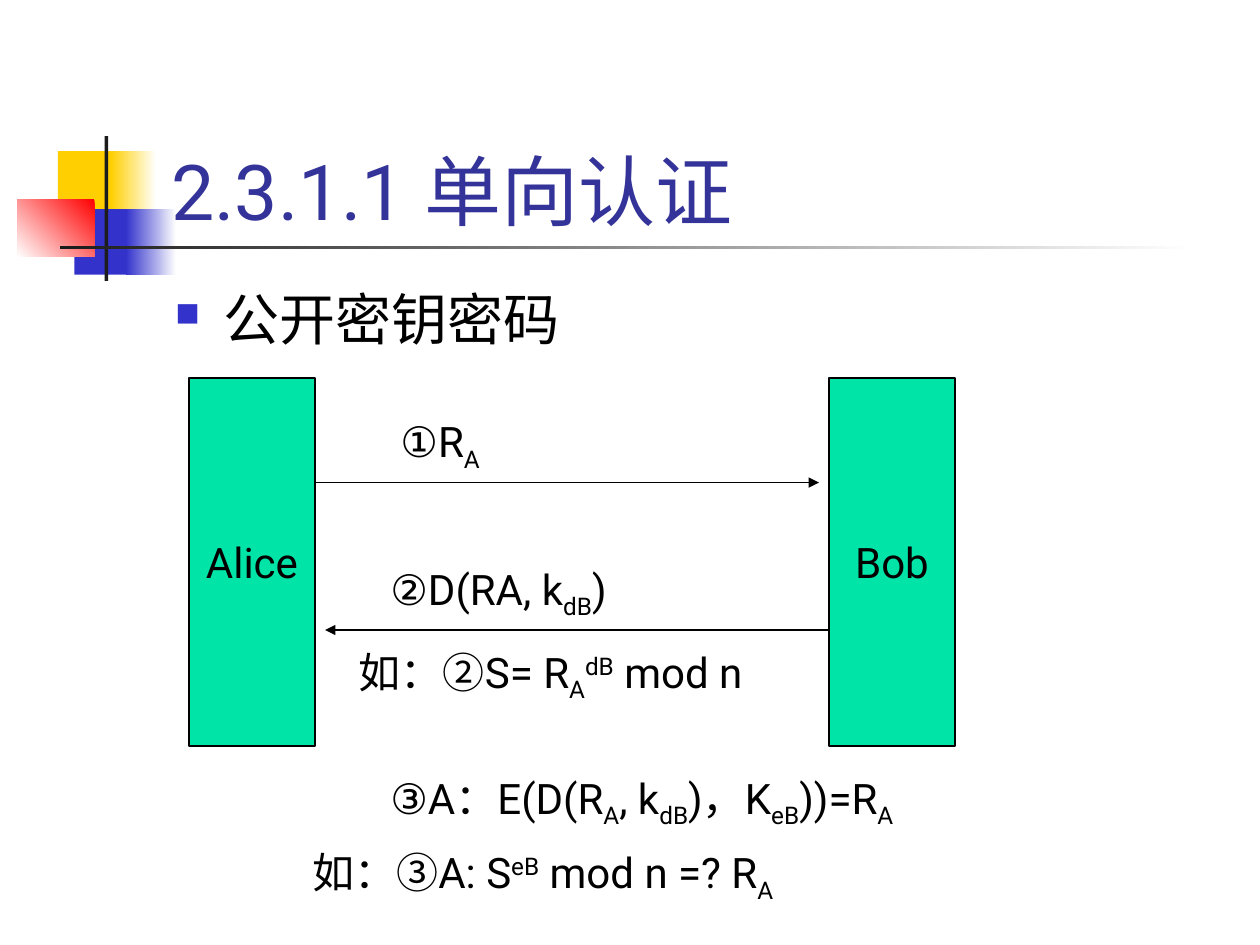
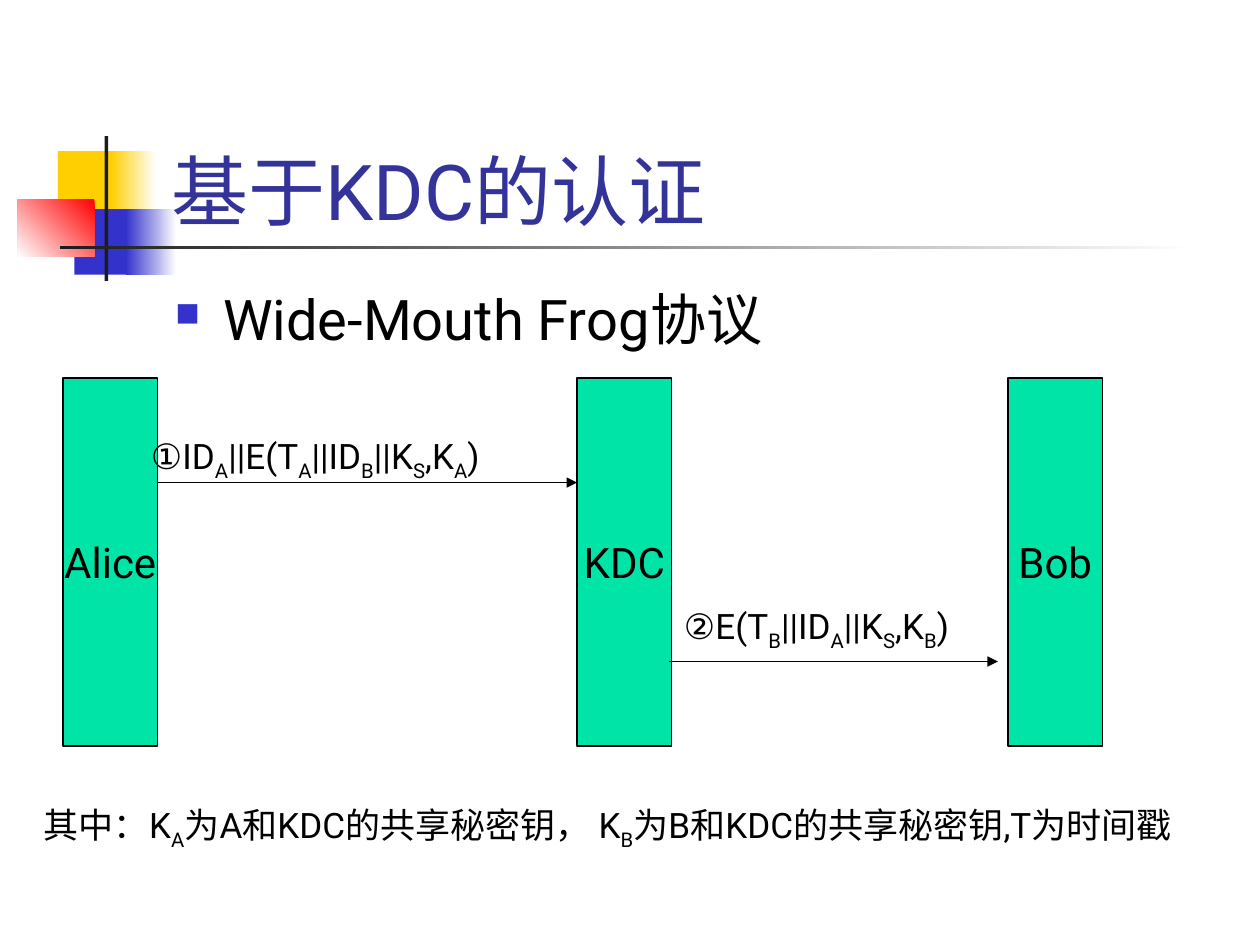
from lxml.etree import SubElement
from pptx import Presentation
from pptx.dml.color import RGBColor
from pptx.enum.shapes import MSO_CONNECTOR, MSO_SHAPE
from pptx.enum.text import MSO_ANCHOR, MSO_AUTO_SIZE, PP_ALIGN
from pptx.oxml.ns import qn
from pptx.util import Inches, Pt

FONT = "Roboto"
BLACK, WHITE, CHARCOAL = "000000", "FFFFFF", "1C1C1C"
TITLE_BLUE, BLUE, YELLOW, RED = "333399", "3333CC", "FFCF01", "FF0000"
PARTY_GREEN = "00E4A8"
BASELINES = {"_": "-25000", "^": "30000"}

LANE_TOP, LANE_HEIGHT = 3, 2.92


def rgb(value):
    return RGBColor.from_string(value)


def place(shape, left, top, width, height):
    shape.left, shape.top = Inches(left), Inches(top)
    shape.width, shape.height = Inches(width), Inches(height)


def style_run(r, size, color=BLACK):
    r.font.name = FONT
    r.font.size = Pt(size)
    r.font.color.rgb = rgb(color)


def add_rect(slide, left, top, width, height):
    sp = slide.shapes.add_shape(MSO_SHAPE.RECTANGLE, Inches(left), Inches(top),
                                Inches(width), Inches(height))
    sp.shadow.inherit = False
    return sp


def fill_gradient(sp, start, end, angle):
    sp.fill.gradient()
    sp.fill.gradient_angle = angle
    for stop, color, position in zip(sp.fill.gradient_stops, (start, end), (0, 1)):
        stop.color.rgb = rgb(color)
        stop.position = position


def decorate_master(prs, slide):
    """Draw the shared title ornament and move it to the slide master."""
    bands = [
        ((0.46, 1.2, 0.48, 0.52), YELLOW),
        ((0.88, 1.2, 0.36, 0.52), (WHITE, YELLOW, 180)),
        ((0.59, 1.66, 0.46, 0.52), BLUE),
        ((1, 1.66, 0.4, 0.52), (WHITE, BLUE, 180)),
        ((0.14, 1.58, 0.61, 0.46), (RED, WHITE, 225)),
        ((0.83, 1.08, 0.03, 1.15), CHARCOAL),
        ((0.48, 1.95, 9, 0.03), (WHITE, CHARCOAL, 180)),
    ]
    for number, (box, paint) in enumerate(bands, start=20):
        sp = add_rect(slide, *box)
        sp.line.fill.background()
        if isinstance(paint, tuple):
            fill_gradient(sp, *paint)
        else:
            sp.fill.solid()
            sp.fill.fore_color.rgb = rgb(paint)
        sp.element.nvSpPr.cNvPr.id = number
        prs.slide_master.shapes.element.append(sp.element)


def set_title(slide, text):
    title = slide.shapes.title
    place(title, 1.26, 0.67, 8.52, 1.25)
    tf = title.text_frame
    tf.text = text
    tf.vertical_anchor = MSO_ANCHOR.BOTTOM
    tf.auto_size = MSO_AUTO_SIZE.NONE
    p = tf.paragraphs[0]
    p.alignment = PP_ALIGN.LEFT
    style_run(p.runs[0], 44, TITLE_BLUE)


def set_bullet(slide, text, height):
    body = slide.placeholders[1]
    place(body, 1.29, 2.21, 8.5, height)
    tf = body.text_frame
    tf.text = text
    tf.auto_size = MSO_AUTO_SIZE.NONE
    p = tf.paragraphs[0]
    p.space_before = Pt(8)
    style_run(p.runs[0], 32)
    pPr = p._p.get_or_add_pPr()
    pPr.set("marL", str(Inches(0.38)))
    pPr.set("indent", str(Inches(-0.38)))
    SubElement(SubElement(pPr, qn("a:buClr")), qn("a:srgbClr"), val=BLUE)
    SubElement(pPr, qn("a:buSzPct"), val="60000")
    SubElement(pPr, qn("a:buFont"), typeface="Wingdings")
    SubElement(pPr, qn("a:buChar"), char="n")


def add_parties(slide, width, lefts):
    """Draw one named column per party; lefts maps name to left edge."""
    for name, left in lefts.items():
        sp = add_rect(slide, left, LANE_TOP, width, LANE_HEIGHT)
        sp.fill.solid()
        sp.fill.fore_color.rgb = rgb(PARTY_GREEN)
        sp.line.color.rgb = rgb(BLACK)
        sp.line.width = Pt(0.75)
        tf = sp.text_frame
        tf.text = name
        tf.word_wrap = False
        tf.vertical_anchor = MSO_ANCHOR.MIDDLE
        p = tf.paragraphs[0]
        p.alignment = PP_ALIGN.CENTER
        style_run(p.runs[0], 24)


def add_arrow(slide, start, end, drop):
    """Draw a message arrow the given distance below the column tops."""
    y = Inches(LANE_TOP + drop)
    line = slide.shapes.add_connector(MSO_CONNECTOR.STRAIGHT,
                                      Inches(start), y, Inches(end), y)
    line.line.color.rgb = rgb(BLACK)
    line.line.width = Pt(0.75)
    SubElement(line.line._get_or_add_ln(), qn("a:tailEnd"), type="triangle")
    SubElement(line.element.spPr, qn("a:effectLst"))


def add_formula(slide, box, size, parts, wrap=True):
    """Write parts in a row; a leading _ lowers a part and ^ raises it."""
    sp = slide.shapes.add_textbox(*map(Inches, box))
    tf = sp.text_frame
    tf.word_wrap = wrap
    tf.auto_size = MSO_AUTO_SIZE.SHAPE_TO_FIT_TEXT
    for part in parts:
        r = tf.paragraphs[0].add_run()
        baseline = BASELINES.get(part[0])
        r.text = part[1:] if baseline else part
        style_run(r, size)
        if baseline:
            r._r.get_or_add_rPr().set("baseline", baseline)


def new_slide(prs, title, bullet, body_height):
    slide = prs.slides.add_slide(prs.slide_layouts[1])
    set_title(slide, title)
    set_bullet(slide, bullet, body_height)
    return slide


def one_way_slide(prs):
    slide = new_slide(prs, "2.3.1.1 单向认证", "公开密钥密码", 4.29)
    add_parties(slide, 1, {"Alice": 1.5, "Bob": 6.58})
    add_arrow(slide, 2.5, 6.5, 0.83)
    add_arrow(slide, 6.58, 2.58, 2)
    formulas = [
        ((3.08, 3.25, 3.02, 0.56), ["①R", "_A"]),
        ((3, 4.42, 3.02, 0.56), ["②D(RA, k", "_dB", ")"]),
        ((2.38, 6.67, 4.92, 0.56),
         ["如：③A: S", "^eB", " mod n =? R", "_A"]),
        ((2.75, 5.08, 3.58, 0.56), ["如：②S= R", "_A", "^dB", " mod n"]),
        ((3, 6.08, 5.75, 1.01),
         ["③A：E(D(R", "_A", ", k", "_dB", ")，K", "_eB", "))=R", "_A"]),
    ]
    for box, parts in formulas:
        add_formula(slide, box, 24, parts)
    return slide


def kdc_slide(prs):
    slide = new_slide(prs, "基于KDC的认证", "Wide-Mouth Frog协议", 4.5)
    add_parties(slide, 0.75, {"Alice": 0.5, "KDC": 4.58, "Bob": 8})
    add_arrow(slide, 1.25, 4.58, 0.83)
    add_arrow(slide, 5.31, 7.92, 2.25)
    add_formula(slide, (1.1, 3.4, 3.36, 0.48), 20,
                ["①ID", "_A", "||E(T", "_A", "||ID", "_B", "||K", "_S",
                 ",K", "_A", ")"], wrap=False)
    add_formula(slide, (5.33, 4.75, 2.5, 0.86), 20,
                ["②E(T", "_B", "||ID", "_A", "||K", "_S", ",K", "_B", ")"])
    add_formula(slide, (0.25, 6.33, 9.58, 0.82), 20,
                ["其中：K", "_A", "为A和KDC的共享秘密钥， K", "_B",
                 "为B和KDC的共享秘密钥,T为时间戳"])


def main():
    prs = Presentation()
    prs.slide_width, prs.slide_height = Inches(10), Inches(7.5)
    decorate_master(prs, one_way_slide(prs))
    kdc_slide(prs)
    prs.save("out.pptx")


if __name__ == "__main__":
    main()
